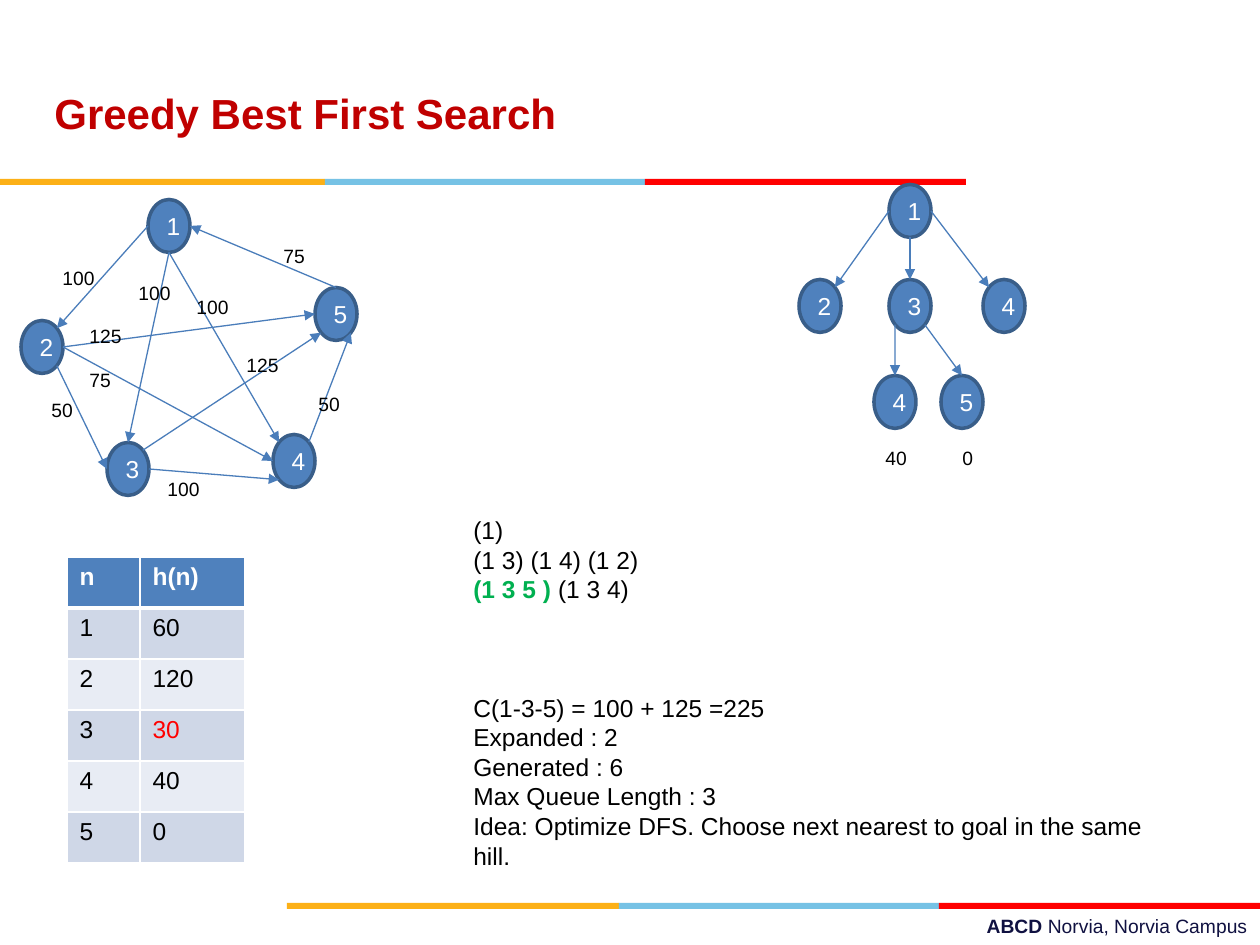
"""Build the Greedy Best First Search slide."""
import math

from lxml import etree
from pptx import Presentation, util as u
from pptx.dml.color import RGBColor
from pptx.enum import shapes, text
from pptx.oxml.ns import qn

PX = u.Inches(10) // 1260
RX, RY = 21, 26.5
TOP, TOP_LEFT, LEFT, LOW_LEFT, LOW, LOW_RIGHT, RIGHT, TOP_RIGHT = range(8)


def rgb(value):
    return RGBColor.from_string(value)


def write(p, content, size=14, color="000000", bold=False, align=text.PP_ALIGN.LEFT):
    p.alignment = align
    r = p.add_run()
    r.text = content
    r.font.name, r.font.size, r.font.bold = "Arial", u.Pt(size), bold
    r.font.color.rgb = rgb(color)


prs = Presentation()
prs.slide_width, prs.slide_height = u.Inches(10), u.Inches(7.5)
s = prs.slides.add_slide(prs.slide_layouts[6])

for y, edges in ((179, (0, 325, 645, 966)), (903, (287, 619, 939, 1260))):
    for left, right, color in zip(edges, edges[1:], ("FCB017", "76C2E5", "FF0000")):
        sp = s.shapes.add_shape(shapes.MSO_SHAPE.RECTANGLE, left * PX, y * PX,
                                (right - left) * PX, 6 * PX)
        sp.shadow.inherit = False
        sp.fill.solid()
        sp.fill.fore_color.rgb = rgb(color)
        sp.line.fill.background()

tf = s.shapes.add_textbox(451 * PX, 908 * PX, 809 * PX, 37 * PX).text_frame
tf.word_wrap = True
for part, bold in (("ABCD ", True), ("Norvia, Norvia Campus", False)):
    write(tf.paragraphs[0], part, size=11, color="101141", bold=bold,
          align=text.PP_ALIGN.RIGHT)

tf = s.shapes.add_textbox(42 * PX, 21 * PX, 872 * PX, 158 * PX).text_frame
tf.word_wrap = True
tf.vertical_anchor = text.MSO_ANCHOR.MIDDLE
tf.paragraphs[0].line_spacing = 1.5
write(tf.paragraphs[0], "Greedy Best First Search", size=24, color="C00000", bold=True)

rows = [("n", "h(n)"), ("1", "60"), ("2", "120"), ("3", "30"), ("4", "40"), ("5", "0")]
frame = s.shapes.add_table(len(rows), 2, 67 * PX, 557 * PX, 178 * PX, 306 * PX)
table = frame.table
for column, width in zip(table.columns, (73, 105)):
    column.width = width * PX
for i, row in enumerate(rows):
    table.rows[i].height = 51 * PX
    for j, value in enumerate(row):
        cell = table.cell(i, j)
        cell.fill.solid()
        cell.fill.fore_color.rgb = rgb("4F81BD" if i == 0 else ("E8ECF4", "CFD7E7")[i % 2])
        color = "FFFFFF" if i == 0 else "FF0000" if value == "30" else "000000"
        write(cell.text_frame.paragraphs[0], value, color=color, bold=i == 0)
        tc_pr = cell._tc.get_or_add_tcPr()
        for k, side in enumerate(("lnL", "lnR", "lnT", "lnB")):
            thick = (i, side) in ((0, "lnB"), (1, "lnT"))
            ln = etree.Element(qn(f"a:{side}"), w=str(u.Pt(3 if thick else 1)))
            fill = etree.SubElement(ln, qn("a:solidFill"))
            etree.SubElement(fill, qn("a:srgbClr"), val="FFFFFF")
            tc_pr.insert(k, ln)

graph = {"1": (169, 226), "2": (42, 347), "3": (128, 469), "4": (294, 461), "5": (336, 314)}
graph_edges = [
    ("1", LEFT, "2", TOP_RIGHT), ("1", LOW, "3", TOP), ("1", LOW, "4", TOP_LEFT),
    ("2", LOW_RIGHT, "3", LEFT), ("2", RIGHT, "4", LEFT), ("2", RIGHT, "5", LEFT),
    ("3", RIGHT, "4", LOW_LEFT), ("3", TOP_RIGHT, "5", LOW_LEFT),
    ("4", TOP_RIGHT, "5", LOW_RIGHT), ("5", TOP, "1", RIGHT),
]
tree = {"1": (910, 211), "2": (820, 306), "3": (910, 306), "4": (1004, 306),
        "5": (962, 402), "4 leaf": (895, 402)}
tree_edges = [
    ("1", LEFT, "2", TOP_RIGHT), ("1", LOW, "3", TOP), ("1", RIGHT, "4", TOP_LEFT),
    ("3", LOW_LEFT, "4 leaf", TOP), ("3", LOW_RIGHT, "5", TOP),
]
for nodes, edges in ((graph, graph_edges), (tree, tree_edges)):
    for name, (x, y) in nodes.items():
        sp = s.shapes.add_shape(shapes.MSO_SHAPE.OVAL, int((x - RX) * PX), int((y - RY) * PX),
                                int(2 * RX * PX), int(2 * RY * PX))
        sp.shadow.inherit = False
        sp.fill.solid()
        sp.fill.fore_color.rgb = rgb("4F81BD")
        sp.line.color.rgb = rgb("395E89")
        sp.line.width = u.Pt(2)
        write(sp.text_frame.paragraphs[0], name[0], color="FFFFFF", align=text.PP_ALIGN.CENTER)
    for start, out_site, end, in_site in edges:
        points = []
        for name, site in ((start, out_site), (end, in_site)):
            angle = math.radians(90 + 45 * site)
            x, y = nodes[name]
            points += [int((x + RX * math.cos(angle)) * PX), int((y - RY * math.sin(angle)) * PX)]
        c = s.shapes.add_connector(shapes.MSO_CONNECTOR.STRAIGHT, *points)
        c.line.color.rgb = rgb("4A7DBA")
        c.line.width = u.Pt(0.75)
        sp_pr = c._element.spPr
        etree.SubElement(sp_pr.find(qn("a:ln")), qn("a:tailEnd"), type="triangle")
        etree.SubElement(sp_pr, qn("a:effectLst"))

labels = [
    ("100", 50, 260), ("100", 126, 275), ("100", 184, 289), ("50", 39, 392), ("75", 77, 362),
    ("125", 77, 318), ("50", 306, 386), ("100", 155, 471), ("125", 234, 347), ("75", 271, 238),
    ("40", 873, 440), ("0", 950, 440),
]
for label, x, y in labels:
    tf = s.shapes.add_textbox(x * PX, y * PX, (63 if len(label) == 3 else 48) * PX, 37 * PX).text_frame
    tf.word_wrap = True
    write(tf.paragraphs[0], label, size=11)

trace = [
    [("(1)", {})],
    [("(1 3) (1 4) (1 2)", {})],
    [("(1 3 5 ) ", {"color": "00B050", "bold": True}), ("(1 3 4)", {})],
    [("C(1-3-5) = 100 + 125 =225", {})],
    [("Expanded : 2", {})],
    [("Generated : 6", {})],
    [("Max Queue Length : 3", {})],
    [("Idea: Optimize DFS. Choose next nearest to goal in the same hill.", {})],
]
LINE = 16.9
tf = s.shapes.add_textbox(461 * PX, 509 * PX, 731 * PX, 369 * PX).text_frame
tf.word_wrap = True
for i, parts in enumerate(trace):
    p = tf.add_paragraph() if i else tf.paragraphs[0]
    p.line_spacing = u.Pt(LINE)
    p.space_before = u.Pt(3 * LINE if i == 3 else 0)
    for part, style in parts:
        write(p, part, **style)

prs.save("out.pptx")
